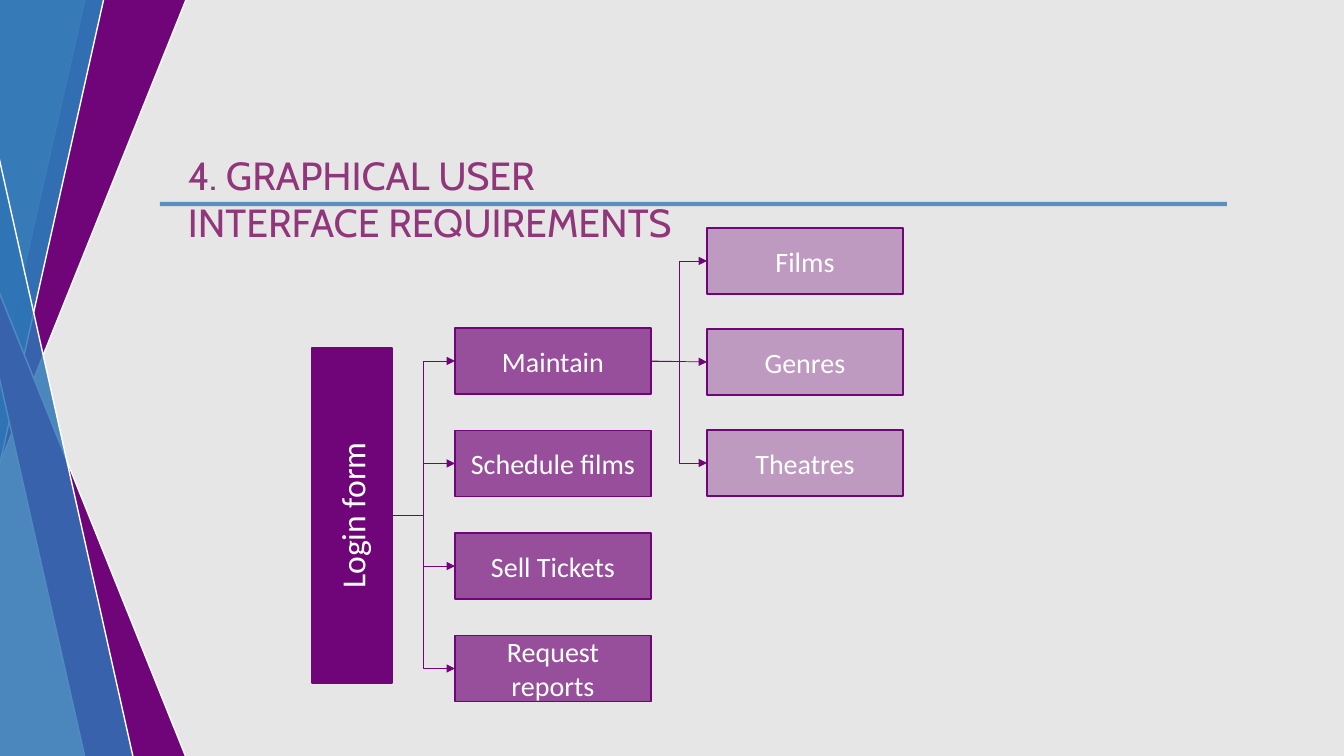
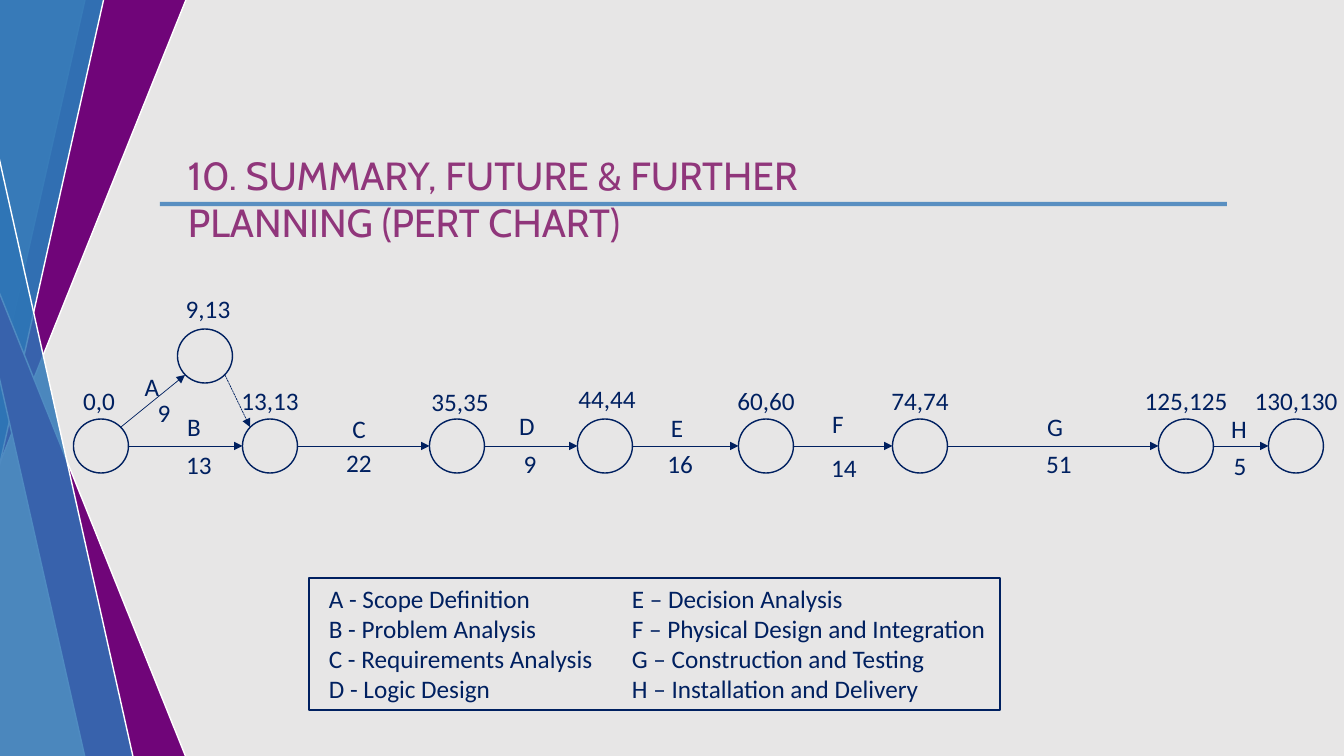
from dataclasses import dataclass

from lxml import etree
from pptx import Presentation
from pptx.dml.color import RGBColor
from pptx.enum.dml import MSO_LINE
from pptx.enum.shapes import MSO_CONNECTOR, MSO_SHAPE
from pptx.enum.text import MSO_ANCHOR, PP_ALIGN
from pptx.oxml.ns import qn
from pptx.util import Emu, Pt

RECTANGLE = MSO_SHAPE.RECTANGLE
TRIANGLE = MSO_SHAPE.ISOSCELES_TRIANGLE
CIRCLE = MSO_SHAPE.FLOWCHART_CONNECTOR
STRAIGHT, ELBOW = MSO_CONNECTOR.STRAIGHT, MSO_CONNECTOR.ELBOW
LEFT, CENTER = PP_ALIGN.LEFT, PP_ALIGN.CENTER
TOP, MIDDLE = MSO_ANCHOR.TOP, MSO_ANCHOR.MIDDLE
DASHED = MSO_LINE.SQUARE_DOT
LEFT_SIDE, RIGHT_SIDE = 1, 3

SLIDE_WIDTH, SLIDE_HEIGHT = 1344, 756
EMU_PER_PX = 914400 / 100.8


@dataclass(frozen=True)
class Theme:
    background: str = "E7E6E6"
    purple: str = "700579"
    blue: str = "2E75B6"
    rule: str = "4C87BE"
    title: str = "90367B"
    navy: str = "002060"
    white: str = "FFFFFF"
    title_font: str = "Cabin"
    body_font: str = "Calibri"
    title_size: int = 28
    root_size: int = 24
    box_size: int = 20
    label_size: int = 18
    outline: float = 1
    thin: float = 0.5
    thick: float = 3


THEME = Theme()


def px(length):
    return Emu(round(length * EMU_PER_PX))


def color(value):
    return RGBColor.from_string(value)


def set_alpha(fill_parent, percent):
    color_element = fill_parent.find(qn("a:solidFill"))[0]
    etree.SubElement(color_element, qn("a:alpha"), val=str(percent * 1000))


def write_text(shape, lines, size, text_color, font=THEME.body_font,
               align=LEFT, anchor=TOP, wrap=True):
    frame = shape.text_frame
    frame.word_wrap = wrap
    frame.vertical_anchor = anchor
    for index, line in enumerate(lines):
        paragraph = frame.add_paragraph() if index else frame.paragraphs[0]
        paragraph.alignment = align
        run = paragraph.add_run()
        run.text = line
        run.font.name = font
        run.font.size = Pt(size)
        run.font.color.rgb = color(text_color)


def add_text(slide, box, lines, size=THEME.label_size,
             text_color=THEME.navy, **style):
    shape = slide.shapes.add_textbox(*map(px, box))
    write_text(shape, lines, size, text_color, **style)


def add_figure(slide, kind, box, line, fill=None, alpha=None):
    shape = slide.shapes.add_shape(kind, *map(px, box))
    shape.shadow.inherit = False
    shape.line.color.rgb = color(line)
    shape.line.width = Pt(THEME.outline)
    if fill is None:
        shape.fill.background()
    else:
        shape.fill.solid()
        shape.fill.fore_color.rgb = color(fill)
    if alpha:
        set_alpha(shape.element.spPr, alpha)
    return shape


def add_line(slide, start, end, line, width, kind=STRAIGHT,
             arrow=True, dash=None, alpha=None):
    connector = slide.shapes.add_connector(kind, *map(px, (*start, *end)))
    connector.line.color.rgb = color(line)
    connector.line.width = Pt(width)
    if dash:
        connector.line.dash_style = dash
    properties = connector.element.spPr
    outline = properties.find(qn("a:ln"))
    if alpha:
        set_alpha(outline, alpha)
    if arrow:
        etree.SubElement(outline, qn("a:tailEnd"), type="triangle")
    etree.SubElement(properties, qn("a:effectLst"))
    return connector


# Parts that every slide shares
BLADES = [  # box, rotation, fill, opacity
    ((8, -176, 123, 767), 197.3, THEME.purple, None),
    ((-48, -264, 159, 810), 187, THEME.blue, 95),
    ((8, 166, 123, 767), 342.7, THEME.purple, None),
    ((-48, 79, 159, 810), 353, THEME.blue, 84),
]


def add_base_slide(presentation, title, title_width):
    slide = presentation.slides.add_slide(presentation.slide_layouts[6])
    slide.background.fill.solid()
    slide.background.fill.fore_color.rgb = color(THEME.background)
    for box, rotation, fill, alpha in BLADES:
        blade = add_figure(slide, TRIANGLE, box, THEME.white, fill, alpha)
        blade.rotation = rotation
    add_line(slide, (160, 204), (1227, 204), THEME.rule, THEME.thick,
             arrow=False, alpha=91)
    add_text(slide, (178, 146, title_width, 104), [title], THEME.title_size,
             THEME.title, font=THEME.title_font)
    return slide


# Form hierarchy
FORMS = ["Maintain", "Schedule films", "Sell Tickets", "Request reports"]
TABLES = ["Films", "Genres", "Theatres"]
FORM_WIDTH, FORM_HEIGHT = 196, 66


def add_form(slide, box, text, size, alpha=None):
    form = add_figure(slide, RECTANGLE, box, THEME.purple, THEME.purple, alpha)
    write_text(form, [text], size, THEME.white, align=CENTER, anchor=MIDDLE)
    return form


def add_form_column(slide, left, top, pitch, names, alpha):
    return [add_form(slide, (left, top + row * pitch, FORM_WIDTH, FORM_HEIGHT),
                     name, THEME.box_size, alpha)
            for row, name in enumerate(names)]


def connect_forms(slide, parent, children):
    parent_middle = parent.top + parent.height // 2
    for child in children:
        offset = abs(child.top + child.height // 2 - parent_middle)
        kind = STRAIGHT if offset < px(5) else ELBOW
        connector = add_line(slide, (0, 0), (0, 0), THEME.purple, THEME.thin,
                             kind)
        connector.begin_connect(parent, RIGHT_SIDE)
        connector.end_connect(child, LEFT_SIDE)


def add_hierarchy(slide, left, top):
    login = add_form(slide, (left, top + 120, 80, 335), "Login form",
                     THEME.root_size)
    login.text_frame._txBody.bodyPr.set("vert", "vert270")
    forms = add_form_column(slide, left + 143, top + 100, 102.5, FORMS, 67)
    tables = add_form_column(slide, left + 395, top, 101, TABLES, 34)
    connect_forms(slide, login, forms)
    connect_forms(slide, forms[0], tables)


# PERT network: places are relative to the centre of the first node
NODE_WIDTH, NODE_HEIGHT = 55, 54
LABEL_WIDTH, LABEL_HEIGHT = 104, 40
NODES = {  # times: node centre, label shift
    "0,0": ((0, 0), (-2, 0)),
    "9,13": ((104, -90), (3, -2)),
    "13,13": ((169, 0), (0, 0)),
    "35,35": ((356, 0), (3, 1)),
    "44,44": ((504, 0), (2, -2)),
    "60,60": ((665, 0), (0, 0)),
    "74,74": ((819, 0), (0, 0)),
    "125,125": ((1085, 0), (0, 0)),
    "130,130": ((1195, 0), (0, 0)),
}
TASKS = [  # from, to, letter and its place, duration and its place
    ("0,0", "9,13", "A", (51, -80), "9", (63, -54)),
    ("0,0", "13,13", "B", (93, -40), "13", (98, -2)),
    ("13,13", "35,35", "C", (258, -38), "22", (258, -4)),
    ("35,35", "44,44", "D", (426, -41), "9", (429, -3)),
    ("44,44", "60,60", "E", (576, -39), "16", (579, -3)),
    ("60,60", "74,74", "F", (737, -43), "14", (743, 1)),
    ("74,74", "125,125", "G", (954, -40), "51", (958, -3)),
    ("125,125", "130,130", "H", (1138, -38), "5", (1139, -1)),
]


def add_label(slide, center, top, text):
    add_text(slide, (center - LABEL_WIDTH / 2, top, LABEL_WIDTH, LABEL_HEIGHT),
             [text], align=CENTER, wrap=False)


def add_task_arrow(slide, start, end, dash=None):
    """Run from rim to rim: at the sides, or at 45 degrees when sloping."""
    if start[1] == end[1]:
        reach_x, reach_y = NODE_WIDTH / 2, 0
    else:
        reach_x = 20
        reach_y = 19 if end[1] > start[1] else -19
    add_line(slide, (start[0] + reach_x, start[1] + reach_y),
             (end[0] - reach_x, end[1] - reach_y),
             THEME.navy, THEME.thin, dash=dash)


def add_network(slide, left, middle):
    centers = {}
    for times, ((x, y), (shift_x, shift_y)) in NODES.items():
        center_x, center_y = centers[times] = (left + x, middle + y)
        node_top = center_y - NODE_HEIGHT / 2
        add_figure(slide, CIRCLE, (center_x - NODE_WIDTH / 2, node_top,
                                   NODE_WIDTH, NODE_HEIGHT), THEME.navy)
        add_label(slide, center_x + shift_x, node_top - 39 + shift_y, times)
    for start, end, letter, letter_at, days, days_at in TASKS:
        add_task_arrow(slide, centers[start], centers[end])
        for text, (x, y) in ((letter, letter_at), (days, days_at)):
            add_label(slide, left + x, middle + y, text)
    add_task_arrow(slide, centers["9,13"], centers["13,13"], DASHED)


# Task legend
LEGEND = [  # column offset, width, lines
    (10, 287, ["A - Scope Definition", "B - Problem Analysis",
               "C - Requirements Analysis", "D - Logic Design"]),
    (313, 378, ["E – Decision Analysis", "F – Physical Design and Integration",
                "G – Construction and Testing",
                "H – Installation and Delivery"]),
]


def add_legend(slide, left, top, width, height):
    for offset, column_width, lines in LEGEND:
        add_text(slide, (left + offset, top, column_width, height), lines,
                 wrap=False)
    add_figure(slide, RECTANGLE, (left, top, width, height), THEME.navy)


def main():
    presentation = Presentation()
    presentation.slide_width = px(SLIDE_WIDTH)
    presentation.slide_height = px(SLIDE_HEIGHT)

    interface_slide = add_base_slide(
        presentation, "4. GRAPHICAL USER INTERFACE REQUIREMENTS", 540)
    add_hierarchy(interface_slide, 312, 228)

    planning_slide = add_base_slide(
        presentation, "10. SUMMARY, FUTURE & FURTHER PLANNING (PERT CHART)", 712)
    add_network(planning_slide, 101, 446)
    add_legend(planning_slide, 309, 578, 691, 132)

    presentation.save("out.pptx")


if __name__ == "__main__":
    main()
